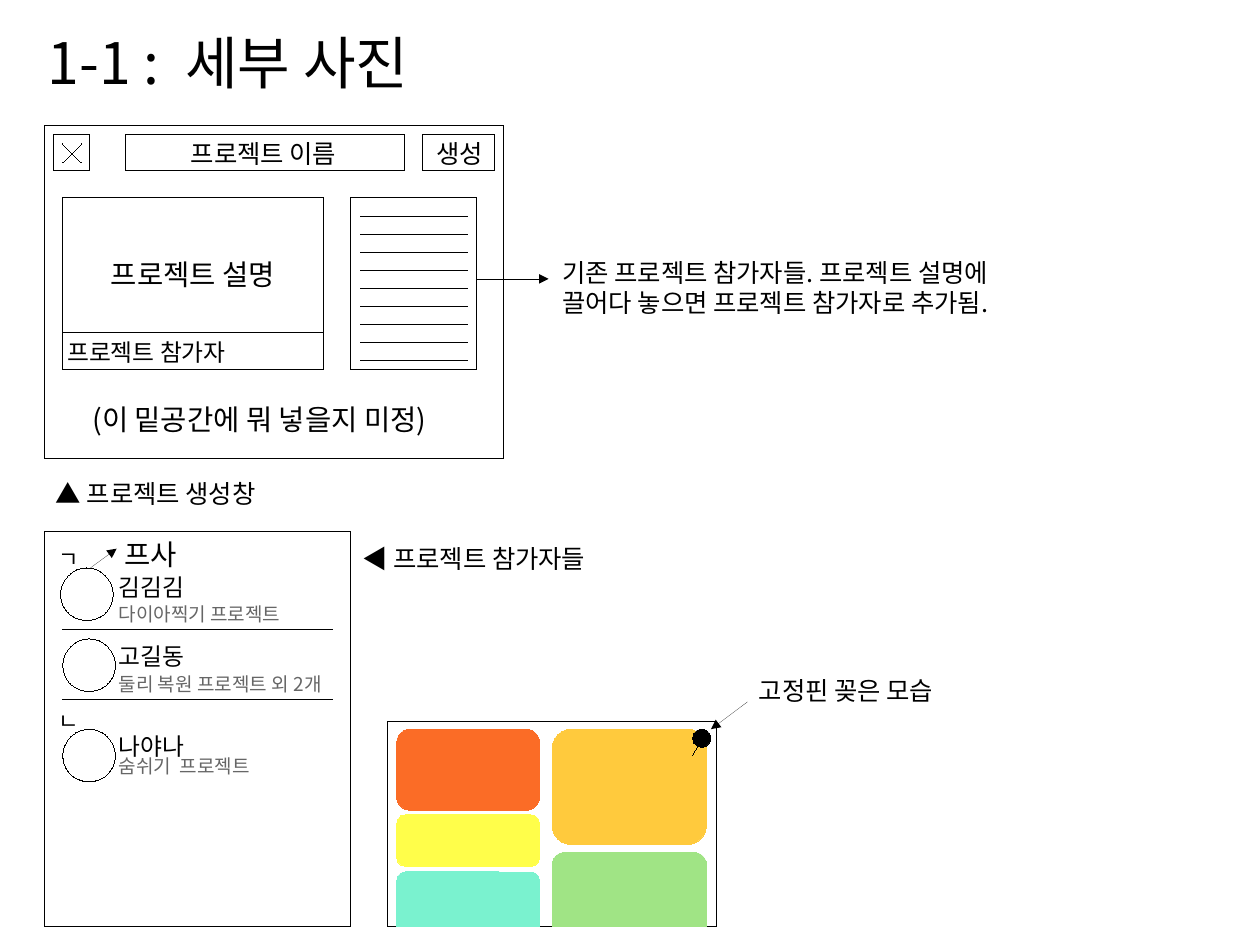
from lxml.etree import SubElement
from pptx import Presentation
from pptx.dml.color import RGBColor
from pptx.enum.shapes import MSO_CONNECTOR as Connector, MSO_SHAPE as Shape
from pptx.enum.text import MSO_AUTO_SIZE as AutoSize
from pptx.oxml.ns import qn
from pptx.util import Pt

FONT = "Noto Sans CJK KR"
BLACK = RGBColor(0x00, 0x00, 0x00)
WHITE = RGBColor(0xFF, 0xFF, 0xFF)
GREY = RGBColor(0x66, 0x66, 0x66)
ORANGE = RGBColor(0xFB, 0x6C, 0x26)
AMBER = RGBColor(0xFF, 0xCA, 0x3D)
YELLOW = RGBColor(0xFF, 0xFE, 0x4A)
GREEN = RGBColor(0xA0, 0xE4, 0x85)
MINT = RGBColor(0x7A, 0xF2, 0xCF)

FRAME_FORMAT = {
    "margin_left": Pt(7.2), "margin_right": Pt(7.2),
    "margin_top": Pt(3.6), "margin_bottom": Pt(3.6),
    "auto_size": AutoSize.SHAPE_TO_FIT_TEXT,
}


def set_all(target, values):
    for name, value in values.items():
        setattr(target, name, value)


def set_hairline(item, color):
    """Colours the line and writes its zero width out, so the theme's is not used."""
    item.line.color.rgb = color
    outline = item.line._get_or_add_ln()
    outline.set("w", "0")
    return outline


class Region:
    """Draws parts in points, measured from the corner of its box."""

    def __init__(self, page, box):
        self.shapes = page.shapes
        self.left, self.top, self.width, self.height = box

    def place(self, x, y):
        return Pt(self.left + x), Pt(self.top + y)

    def shape(self, kind, x, y, width, height, fill=WHITE, line=BLACK):
        item = self.shapes.add_shape(kind, *self.place(x, y), Pt(width), Pt(height))
        item.shadow.inherit = False
        item.fill.solid()
        item.fill.fore_color.rgb = fill
        set_hairline(item, line)

    def outline(self):
        self.shape(Shape.RECTANGLE, 0, 0, self.width, self.height)

    def line(self, x1, y1, x2, y2, arrow=False):
        item = self.shapes.add_connector(
            Connector.STRAIGHT, *self.place(x1, y1), *self.place(x2, y2))
        outline = set_hairline(item, BLACK)
        if arrow:
            SubElement(outline, qn("a:tailEnd"), type="triangle")
        SubElement(item._element.spPr, qn("a:effectLst"))

    def text(self, words, x, y, width, height, size=16, color=BLACK, wrap=True):
        item = self.shapes.add_textbox(*self.place(x, y), Pt(width), Pt(height))
        set_all(item.text_frame, FRAME_FORMAT)
        item.text_frame.word_wrap = wrap
        span = item.text_frame.paragraphs[0].add_run()
        span.text = words
        set_all(span.font, {"name": FONT, "size": Pt(size)})
        span.font.color.rgb = color
        span.font._element.set("kern", "0")
        SubElement(span.font._element, qn("a:ea"), typeface=FONT)


def add_title(page, box):
    title = Region(page, box)
    title.text("1-1 :  세부 사진", 0, 0, title.width, title.height, size=36)


def add_creation_window(page, box):
    window = Region(page, box)
    window.outline()

    # Top bar: project name, close button, create button
    for x, width in ((51.1, 175.7), (5.8, 22.3), (238.3, 45.4)):
        window.shape(Shape.RECTANGLE, x, 5.8, width, 22.3)
    window.line(11.5, 23, 23, 11.5)
    window.line(11.5, 11.5, 23, 23)
    window.text("프로젝트 이름", 85, 4.3, 108.7, 30.2, wrap=False)
    window.text("생성", 239.8, 4.3, 43.9, 30.2)

    # Project description with its participants strip
    window.shape(Shape.RECTANGLE, 11.5, 45.4, 164.2, 108)
    window.text("프로젝트 설명", 34.6, 79.2, 121, 33.1, size=18, wrap=False)
    window.line(11.5, 130.3, 175.7, 130.3)
    window.text("프로젝트 참가자", 7.2, 130.3, 117.4, 28.8, size=15, wrap=False)

    # List of known participants and its explanation
    window.shape(Shape.RECTANGLE, 193, 45.4, 79.2, 108)
    for row in range(9):
        y = 56.9 + 11.34 * row
        window.line(198.7, y, 266.4, y)
    window.line(272.2, 96.5, 317.5, 96.5, arrow=True)
    window.text("기존 프로젝트 참가자들. 프로젝트 설명에 끌어다 놓으면 프로젝트 참가자로 추가됨.",
                319, 79.2, 293, 53.3)

    # Notes
    window.text("(이 밑공간에 뭐 넣을지 미정)", 23, 170.6, 249.1, 33.1, size=18, wrap=False)
    window.text("▲ 프로젝트 생성창", 0, 218.2, 143.3, 30.2)


def add_participant_panel(page, box):
    panel = Region(page, box)
    panel.outline()

    # Index letters and dividers
    for letter, y in (("ㄱ", 5), ("ㄴ", 107.3)):
        panel.text(letter, 1.4, y, 27.4, 27.4, size=14)
    for y in (61.9, 105.8):
        panel.line(11.5, y, 181.4, y)

    # People: photo left and top, name top, project top
    people = (
        ("김김김", "다이아찍기 프로젝트", 10.1, 23, 22.3, 41),
        ("고길동", "둘리 복원 프로젝트 외 2개", 11.5, 67.7, 66.2, 85),
        ("나야나", "숨쉬기  프로젝트", 11.5, 124.6, 122.4, 136.8),
    )
    for name, project, photo_x, photo_y, name_y, project_y in people:
        panel.text(name, 39.6, name_y, 57, 28.8, size=15)
        panel.shape(Shape.OVAL, photo_x, photo_y, 33.1, 33.1)
        panel.text(project, 39.6, project_y, 164.2, 24.5, size=12, color=GREY)

    # Labels
    panel.line(28.8, 23, 45.4, 10.8, arrow=True)
    panel.text("프사", 43.2, 0, 48.2, 33.1, size=18)
    panel.text("◀ 프로젝트 참가자들", panel.width, 3.7, 164.2, 30.2)


def add_card_board(page, box):
    board = Region(page, box)
    board.outline()

    # Cards; those at the lower edge are squared off by a strip
    left_column, right_column = (5.8, 90), (103.7, 97.2)
    cards = (
        (Shape.ROUNDED_RECTANGLE, left_column, 5, 51.1, ORANGE),
        (Shape.ROUNDED_RECTANGLE, right_column, 5, 72.7, AMBER),
        (Shape.ROUNDED_RECTANGLE, left_column, 59, 32.4, YELLOW),
        (Shape.ROUNDED_RECTANGLE, right_column, 82.8, 45.4, GREEN),
        (Shape.RECTANGLE, right_column, 116.6, 13, GREEN),
        (Shape.ROUNDED_RECTANGLE, left_column, 95, 32.4, MINT),
        (Shape.RECTANGLE, left_column, 112.3, 17.3, MINT),
    )
    for kind, (x, width), y, height, color in cards:
        board.shape(kind, x, y, width, height, color, color)

    # Pin and its label
    board.shape(Shape.OVAL, 192.2, 5, 11.5, 11.5, BLACK)
    board.line(192.2, 21.6, 198, 10.8)
    board.line(226.8, -12.2, 203.8, 5, arrow=True)
    board.text("고정핀 꽂은 모습", 226.8, -32.4, 128.2, 30.2, wrap=False)


def main():
    deck = Presentation()
    set_all(deck, {"slide_width": Pt(793.7), "slide_height": Pt(595.28)})
    page = deck.slides.add_slide(deck.slide_layouts[6])
    add_title(page, (23, 13.7, 770.4, 59.8))
    add_creation_window(page, (28.1, 79.2, 289.4, 209.5))
    add_participant_panel(page, (28.1, 334.8, 193, 249.1))
    add_card_board(page, (244.1, 454.3, 207.4, 129.6))
    deck.save("out.pptx")


if __name__ == "__main__":
    main()
